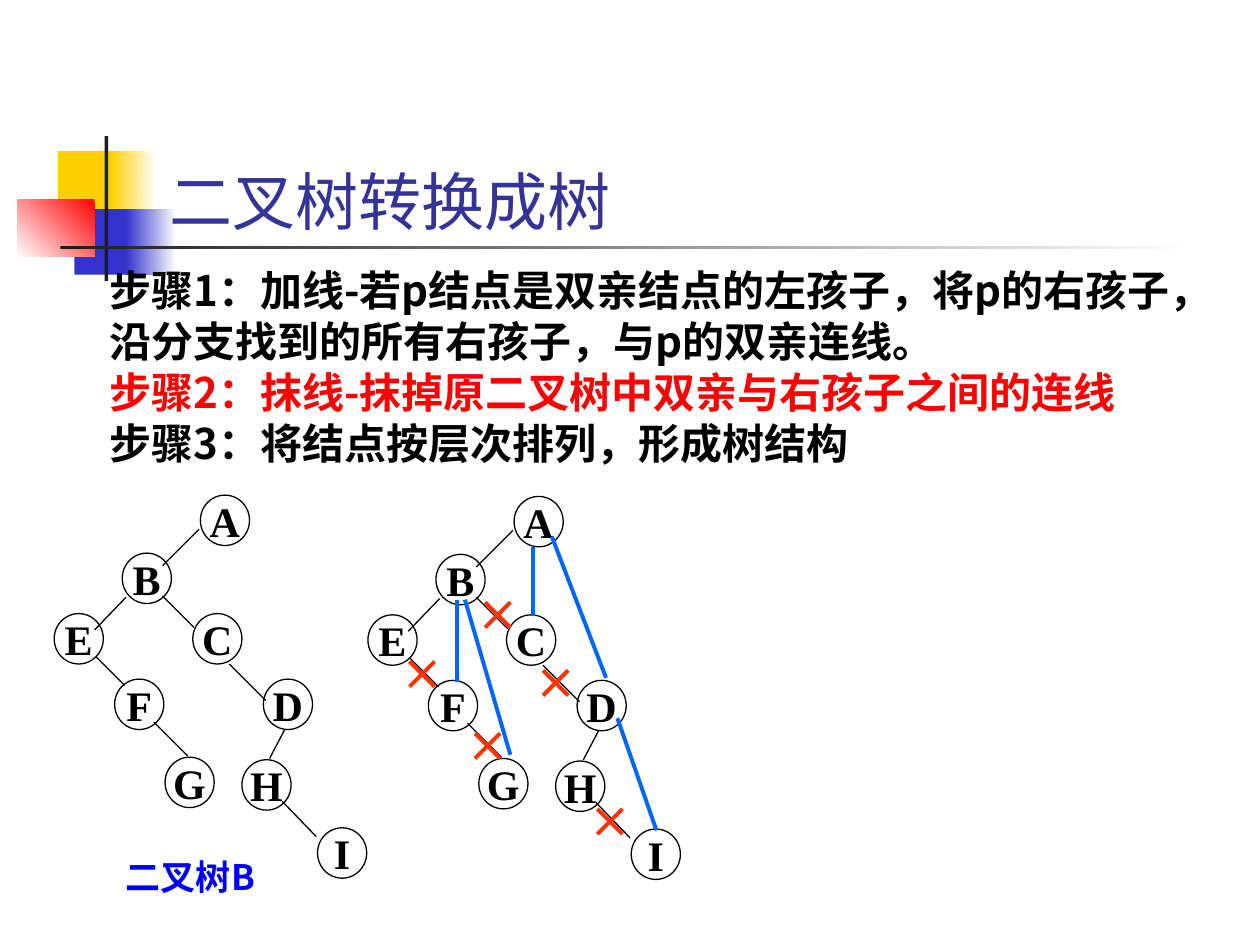
from lxml import etree
from pptx import Presentation
from pptx.dml.color import RGBColor
from pptx.enum import shapes, text
from pptx.oxml.ns import qn
from pptx.util import Inches, Pt

COLORS = {
    "white": "FFFFFF", "yellow": "FFCF01", "navy": "3333CC", "red": "FF0000",
    "dark": "1C1C1C", "title": "333399", "black": "000000", "label": "0000FF",
    "added": "0066FF", "cross": "FF3300",
}
RGB = {name: RGBColor.from_string(value) for name, value in COLORS.items()}
CJK = "Noto Sans CJK SC"


def write(box, paragraphs, size, font, bold=True, align=text.PP_ALIGN.LEFT,
          anchor=text.MSO_ANCHOR.TOP, wrap=True, spacing=None, indent=0):
    """Fill box with (text, colour name) paragraphs that share one format."""
    frame = box.text_frame
    frame.word_wrap = wrap
    frame.vertical_anchor = anchor
    for i, (content, color) in enumerate(paragraphs):
        para = frame.add_paragraph() if i else frame.paragraphs[0]
        para.alignment = align
        if spacing:
            para.line_spacing = Pt(spacing)
        if indent:
            para._p.get_or_add_pPr().set("marL", str(Inches(indent)))
        run = para.add_run()
        run.text = content
        run.font.size = Pt(size)
        run.font.bold = bold
        run.font.name = font
        run.font.color.rgb = RGB[color]
        etree.SubElement(run._r.get_or_add_rPr(), qn("a:ea")).set("typeface", font)


def draw_line(parent, ends, color="black", width=0.75):
    line = parent.shapes.add_connector(
        shapes.MSO_CONNECTOR.STRAIGHT, *(Inches(value) for value in ends))
    line.line.color.rgb = RGB[color]
    line.line.width = Pt(width)
    etree.SubElement(line._element.spPr, qn("a:effectLst"))


prs = Presentation()
prs.slide_width, prs.slide_height = Inches(10), Inches(7.5)
slide = prs.slides.add_slide(prs.slide_layouts[6])

# Corner ornament and title rule: area, colours from start to end, angle
ornament = [
    ((0.46, 1.2, 0.48, 0.52), ["yellow"], 0),
    ((0.88, 1.2, 0.36, 0.52), ["yellow", "white"], 0),
    ((0.59, 1.66, 0.46, 0.52), ["navy"], 0),
    ((1, 1.66, 0.4, 0.52), ["navy", "white"], 0),
    ((0.14, 1.58, 0.61, 0.46), ["red", "white"], 225),
    ((0.83, 1.08, 0.03, 1.15), ["dark"], 0),
    ((0.48, 1.95, 9, 0.03), ["dark", "white"], 0),
]
for area, colors, angle in ornament:
    block = slide.shapes.add_shape(
        shapes.MSO_SHAPE.RECTANGLE, *(Inches(value) for value in area))
    block.shadow.inherit = False
    block.line.fill.background()
    if len(colors) == 1:
        block.fill.solid()
        block.fill.fore_color.rgb = RGB[colors[0]]
    else:
        block.fill.gradient()
        block.fill.gradient_angle = angle
        for stop, color in zip(block.fill.gradient_stops, colors):
            stop.color.rgb = RGB[color]

title = slide.shapes.add_textbox(Inches(1.25), Inches(0.52), Inches(8.25), Inches(1.42))
write(title, [("二叉树转换成树", "title")], 36, "Karla", bold=False,
      anchor=text.MSO_ANCHOR.BOTTOM)

steps = slide.shapes.add_textbox(Inches(0.27), Inches(2.05), Inches(9.45), Inches(1.7))
write(steps, [
    ("步骤1：加线-若p结点是双亲结点的左孩子，将p的右孩子，沿分支找到的所有右孩子，与p的双亲连线。", "black"),
    ("步骤2：抹线-抹掉原二叉树中双亲与右孩子之间的连线", "red"),
    ("步骤3：将结点按层次排列，形成树结构", "black"),
], 24, CJK, spacing=29, indent=0.5)

# The same binary tree twice; the right one shows the conversion
NODE_W, NODE_H = 0.39, 0.4
nodes = {
    "A": (1.59, 3.93), "B": (0.97, 4.39), "C": (1.53, 4.87),
    "D": (2.09, 5.39), "E": (0.43, 4.87), "F": (0.91, 5.39),
    "G": (1.31, 6.01), "H": (1.92, 6.03), "I": (2.52, 6.57),
}
branches = [
    (1.58, 4.2, 1.29, 4.49), (1, 4.74, 0.75, 5), (0.76, 5.21, 0.99, 5.44),
    (1.22, 5.73, 1.49, 6), (1.29, 4.73, 1.54, 4.98), (1.82, 5.27, 2.11, 5.56),
    (2.26, 5.79, 2.14, 6.02), (2.24, 6.36, 2.51, 6.64),
]
for dx, dy in [(0, 0), (2.49, 0.01)]:
    tree = slide.shapes.add_group_shape()
    for name, (x, y) in nodes.items():
        node = tree.shapes.add_shape(
            shapes.MSO_SHAPE.OVAL, Inches(x + dx), Inches(y + dy),
            Inches(NODE_W), Inches(NODE_H))
        node.shadow.inherit = False
        node.fill.background()
        node.line.color.rgb = RGB["black"]
        node.line.width = Pt(0.75)
        write(node, [(name, "black")], 24, "Times New Roman", wrap=False,
              align=text.PP_ALIGN.CENTER, anchor=text.MSO_ANCHOR.MIDDLE)
    for x1, y1, x2, y2 in branches:
        draw_line(tree, (x1 + dx, y1 + dy, x2 + dx, y2 + dy))

# Step 1: lines added from a parent to its new children
added_lines = [
    (4.23, 4.34, 4.23, 4.89), (4.38, 4.26, 4.81, 5.38), (3.63, 4.76, 3.63, 5.41),
    (3.69, 4.76, 4.05, 5.99), (4.9, 5.7, 5.21, 6.59),
]
for ends in added_lines:
    draw_line(slide, ends, "added", 2.25)

# Step 2: crosses on the branches to right children
CROSS = 0.2
for x, y in [(3.85, 4.78), (4.31, 5.32), (3.25, 5.25), (3.77, 5.82), (4.74, 6.42)]:
    cross = slide.shapes.add_group_shape()
    draw_line(cross, (x, y, x + CROSS, y + CROSS), "cross", 2.25)
    draw_line(cross, (x + CROSS, y, x, y + CROSS), "cross", 2.25)

caption = slide.shapes.add_textbox(Inches(0.9), Inches(6.74), Inches(1.65), Inches(0.44))
write(caption, [("二叉树B", "label")], 20, CJK, spacing=24)

prs.save("out.pptx")
